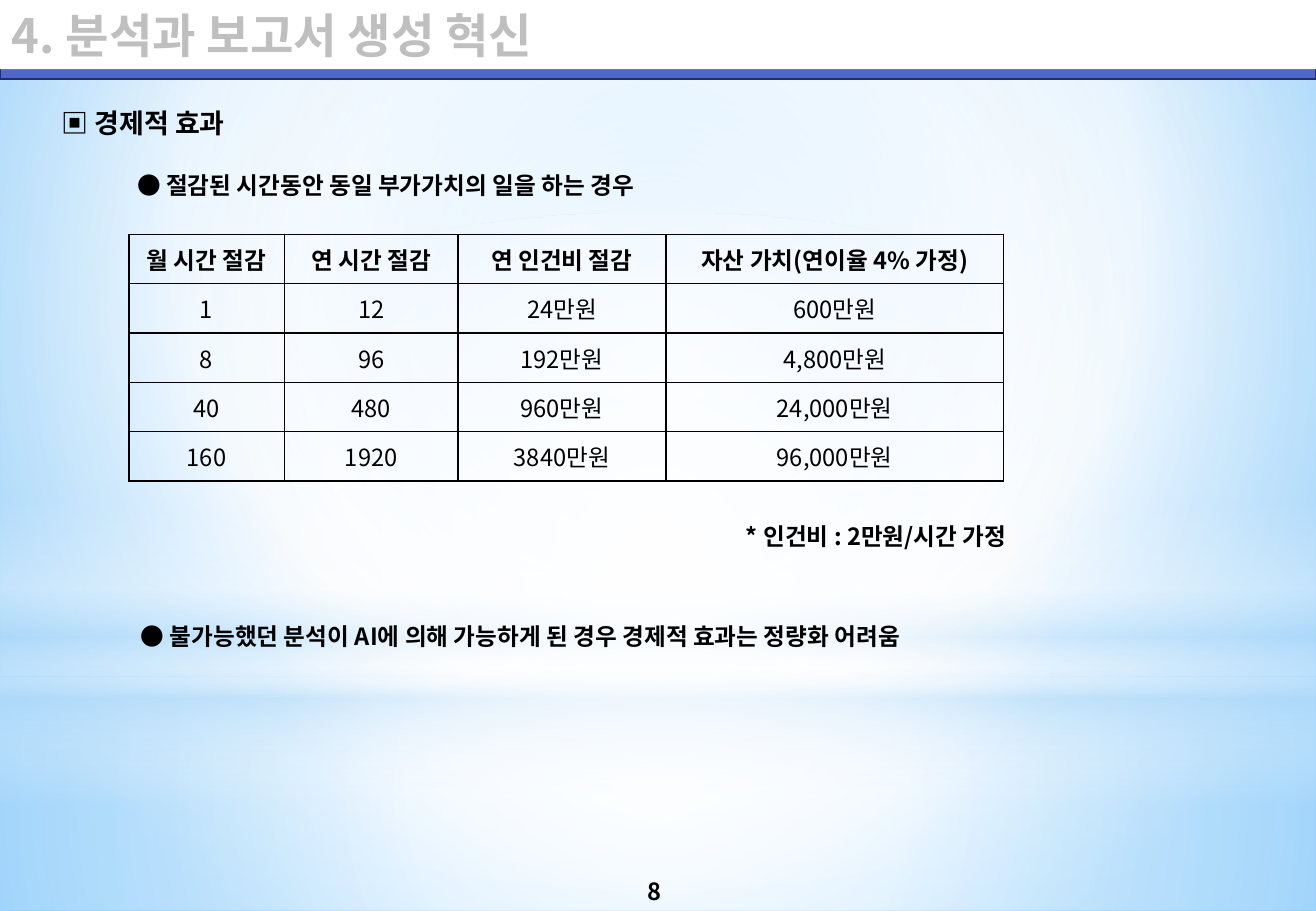
"""Build the slide on the economic effect of faster analysis and reporting."""
from dataclasses import dataclass

from lxml.etree import SubElement
from pptx import Presentation
from pptx.dml.color import RGBColor
from pptx.enum.shapes import MSO_SHAPE
from pptx.enum.text import MSO_ANCHOR, PP_ALIGN
from pptx.oxml.ns import qn
from pptx.util import Inches, Pt


@dataclass(frozen=True)
class Theme:
    font: str = "Noto Sans CJK KR"
    ink: str = "000000"
    title_ink: str = "BFBFBF"
    paper: str = "FFFFFF"
    bar: str = "4E67C8"
    bar_edge: str = "1F2E69"
    sky: str = "B4DCFA"
    sky_light: str = "9ED5FF"
    sky_deep: str = "5BB9FF"
    title_size: int = 28
    heading_size: int = 16
    body_size: int = 14


theme = Theme()


def write(frame, text, size=theme.body_size, color=theme.ink, bold=True,
          align=PP_ALIGN.LEFT, anchor=MSO_ANCHOR.TOP, wrap=True):
    frame.word_wrap = wrap
    frame.vertical_anchor = anchor
    para = frame.paragraphs[0]
    para.alignment = align
    span = para.add_run()
    span.text = text
    span.font.size = Pt(size)
    span.font.bold = bold
    span.font.color.rgb = RGBColor.from_string(color)
    span.font.name = theme.font
    SubElement(span.font._element, qn("a:ea"), typeface=theme.font)


def paint_gradient(fill, holder, stops, focus=None):
    fill.gradient()
    gradient = next(holder.iter(qn("a:gradFill")))
    for child in list(gradient):
        gradient.remove(child)
    stop_list = SubElement(gradient, qn("a:gsLst"))
    for position, color, opacity in stops:
        stop = SubElement(stop_list, qn("a:gs"), pos=str(position * 1000))
        tint = SubElement(stop, qn("a:srgbClr"), val=color)
        SubElement(tint, qn("a:alpha"), val=str(opacity * 1000))
    if focus:
        circle = SubElement(gradient, qn("a:path"), attrib={"path": "circle"})
        edges = {side: str(share * 1000) for side, share in zip("ltrb", focus)}
        SubElement(circle, qn("a:fillToRect"), attrib=edges)
    else:
        SubElement(gradient, qn("a:lin"), ang="5400000", scaled="0")


deck = Presentation()
deck.slide_width, deck.slide_height = Inches(10.83), Inches(7.5)
page = deck.slides.add_slide(deck.slide_layouts[6])

paint_gradient(page.background.fill, page.element,
               [(0, theme.sky_light, 100), (60, theme.paper, 100), (100, theme.sky_deep, 100)],
               (20, 10, 20, 60))

center = (50, 50, 50, 50)
glows = [
    (MSO_SHAPE.RECTANGLE, 5.58, 1.92, center,
     [(0, theme.paper, 91), (37, theme.paper, 76), (100, theme.sky, 79)]),
    (MSO_SHAPE.RECTANGLE, 0, 5.58, center,
     [(0, theme.paper, 89), (48, theme.paper, 62), (100, theme.sky, 79)]),
    (MSO_SHAPE.RECTANGLE, 4.12, 2.5, None,
     [(0, theme.paper, 0), (29, theme.paper, 30), (45, theme.sky, 40),
      (55, theme.paper, 26), (65, theme.sky, 60), (100, theme.paper, 0)]),
    (MSO_SHAPE.OVAL, 1.75, 5.58, center,
     [(0, theme.paper, 100), (56, theme.paper, 0)]),
]
for outline, top, height, focus, stops in glows:
    glow = page.shapes.add_shape(outline, 0, Inches(top), deck.slide_width, Inches(height))
    glow.shadow.inherit = False
    glow.line.fill.background()
    paint_gradient(glow.fill, glow.element, stops, focus)

bands = []
for top, height, color in [(0.56, 0.09, theme.bar), (0, 0.57, theme.paper)]:
    band = page.shapes.add_shape(MSO_SHAPE.RECTANGLE, 0, Inches(top),
                                 deck.slide_width, Inches(height))
    band.shadow.inherit = False
    band.fill.solid()
    band.fill.fore_color.rgb = RGBColor.from_string(color)
    band.line.fill.background()
    bands.append(band)
bar, title = bands
bar.line.color.rgb = RGBColor.from_string(theme.bar_edge)
bar.line.width = Pt(1.25)
write(title.text_frame, "4. 분석과 보고서 생성 혁신", size=theme.title_size,
      color=theme.title_ink, anchor=MSO_ANCHOR.MIDDLE)

texts = [
    (0.41, 0.83, 1.71, 0.37, "▣ 경제적 효과", {"size": theme.heading_size, "wrap": False}),
    (1.03, 1.36, 4.8, 0.34, "● 절감된 시간동안 동일 부가가치의 일을 하는 경우", {"wrap": False}),
    (6.04, 4.25, 2.58, 0.34, "* 인건비 : 2만원/시간 가정", {}),
    (1.06, 5.07, 7.24, 0.34,
     "● 불가능했던 분석이 AI에 의해 가능하게 된 경우 경제적 효과는 정량화 어려움", {"wrap": False}),
    (4.26, 7, 2.26, 0.5, "8", {"align": PP_ALIGN.CENTER, "anchor": MSO_ANCHOR.BOTTOM}),
]
for left, top, width, height, text, style in texts:
    box = page.shapes.add_textbox(Inches(left), Inches(top), Inches(width), Inches(height))
    write(box.text_frame, text, **style)

savings = [
    ("월 시간 절감", "연 시간 절감", "연 인건비 절감", "자산 가치(연이율 4% 가정)"),
    ("1", "12", "24만원", "600만원"),
    ("8", "96", "192만원", "4,800만원"),
    ("40", "480", "960만원", "24,000만원"),
    ("160", "1920", "3840만원", "96,000만원"),
]
column_widths = [1.28, 1.43, 1.71, 2.78]
table = page.shapes.add_table(len(savings), len(column_widths), Inches(1.06), Inches(1.93),
                              Inches(7.19), Inches(2.03)).table
table.first_row = table.horz_banding = False
for column, width in zip(table.columns, column_widths):
    column.width = Inches(width)
for row_index, values in enumerate(savings):
    for column_index, value in enumerate(values):
        cell = table.cell(row_index, column_index)
        write(cell.text_frame, value, bold=row_index == 0, align=PP_ALIGN.CENTER)
        cell.vertical_anchor = MSO_ANCHOR.MIDDLE
        properties = cell._tc.get_or_add_tcPr()
        for side in ("lnL", "lnR", "lnT", "lnB"):
            border = SubElement(properties, qn(f"a:{side}"), w=str(Pt(1)))
            paint = SubElement(border, qn("a:solidFill"))
            SubElement(paint, qn("a:srgbClr"), val=theme.ink)
        cell.fill.background()

deck.save("out.pptx")
